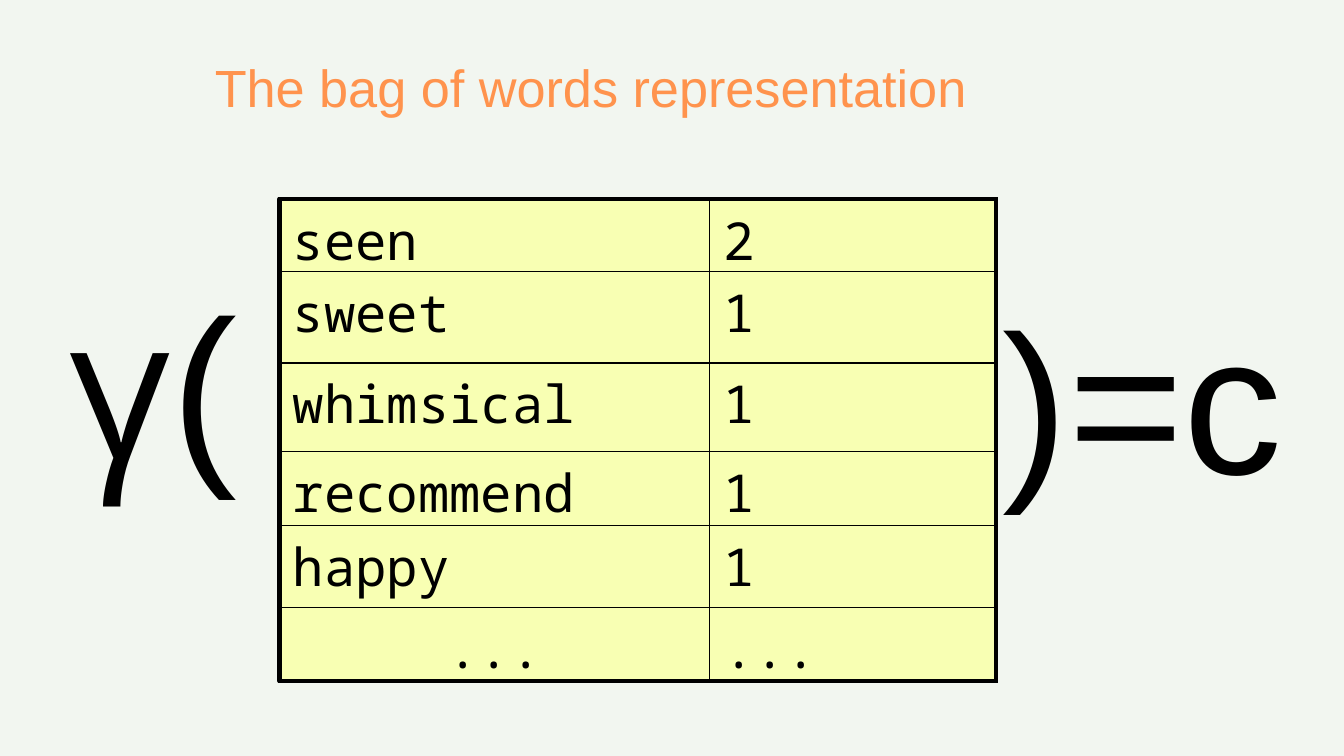
from pptx import Presentation
from pptx.dml.color import RGBColor
from pptx.enum.shapes import MSO_SHAPE as Shape
from pptx.enum.text import PP_ALIGN as Align
from pptx.oxml import parse_xml
from pptx.oxml.ns import nsdecls
from pptx.util import Inches, Pt

COLORS = {"page": "F2F6F0", "title": "FF934D", "cell": "F8FFB3", "ink": "000000"}
TITLE = "The bag of words representation"
COUNTS = [("seen", "2"), ("sweet", "1"), ("whimsical", "1"),
          ("recommend", "1"), ("happy", "1"), ("...", "...")]
COLUMN_WIDTHS = [3.2, 2.13]
ROW_HEIGHTS = [0.54, 0.68, 0.66, 0.55, 0.61, 0.55]
TABLE_BOX = (2.08, 1.48, 5.33, 3.59)
THICK, THIN = 2.25, 1


def color(name):
    return RGBColor.from_string(COLORS[name])


def style(font, face, size, ink="ink"):
    font.name, font.size = face, Pt(size)
    font.color.rgb = color(ink)


def add_text(page, place, spans, size, ink="ink", wrap=True, top=0.05):
    box = page.shapes.add_textbox(*map(Inches, place))
    frame = box.text_frame
    frame.word_wrap = wrap
    frame.margin_top = Inches(top)
    for text, face in spans:
        span = frame.paragraphs[0].add_run()
        span.text = text
        style(span.font, face, size, ink)


def add_border(cell, side, width):
    cell._tc.get_or_add_tcPr().append(parse_xml(
        f'<a:{side} {nsdecls("a")} w="{Pt(width)}"><a:solidFill>'
        f'<a:srgbClr val="{COLORS["ink"]}"/></a:solidFill></a:{side}>'))


deck = Presentation()
deck.slide_width, deck.slide_height = Inches(10), Inches(10 * 9 / 16)
page = deck.slides.add_slide(deck.slide_layouts[6])
page.background.fill.solid()
page.background.fill.fore_color.rgb = color("page")

# Title
add_text(page, (1.5, 0.31, 8.17, 0.81), [(TITLE, "Arial")], 28, "title", top=0.1)

# Panel behind the table
panel = page.shapes.add_shape(Shape.RECTANGLE, *map(Inches, TABLE_BOX))
panel.shadow.inherit = False
panel.fill.solid()
panel.fill.fore_color.rgb = color("cell")
panel.line.color.rgb = color("ink")
panel.line.width = Pt(THICK)

# Classifier formula around the table
add_text(page, (0.42, 1.9, 1.58, 1.88), [("γ", "Open Sans"), ("(", "Arial")], 106)
add_text(page, (7.36, 2.01, 2.39, 1.88), [(")=c", "Arial")], 106, wrap=False)

# Word counts
table = page.shapes.add_table(len(COUNTS), 2, *map(Inches, TABLE_BOX)).table
table.first_row = table.horz_banding = False
for column, width in zip(table.columns, COLUMN_WIDTHS):
    column.width = Inches(width)
for row, height in zip(table.rows, ROW_HEIGHTS):
    row.height = Inches(height)
last = len(COUNTS) - 1
for r, words in enumerate(COUNTS):
    for c, word in enumerate(words):
        cell = table.cell(r, c)
        cell.text = word
        cell.margin_top, cell.margin_bottom = Inches(0.04), 0
        para = cell.text_frame.paragraphs[0]
        style(para.font, "Noto Sans Mono", 28)
        if (r, c) == (last, 0):
            para.alignment = Align.CENTER
        outer = {"lnL": c == 0, "lnR": c == 1, "lnT": r == 0, "lnB": r == last}
        for side, is_outer in outer.items():
            add_border(cell, side, THICK if is_outer else THIN)
        cell.fill.background()

deck.save("out.pptx")
